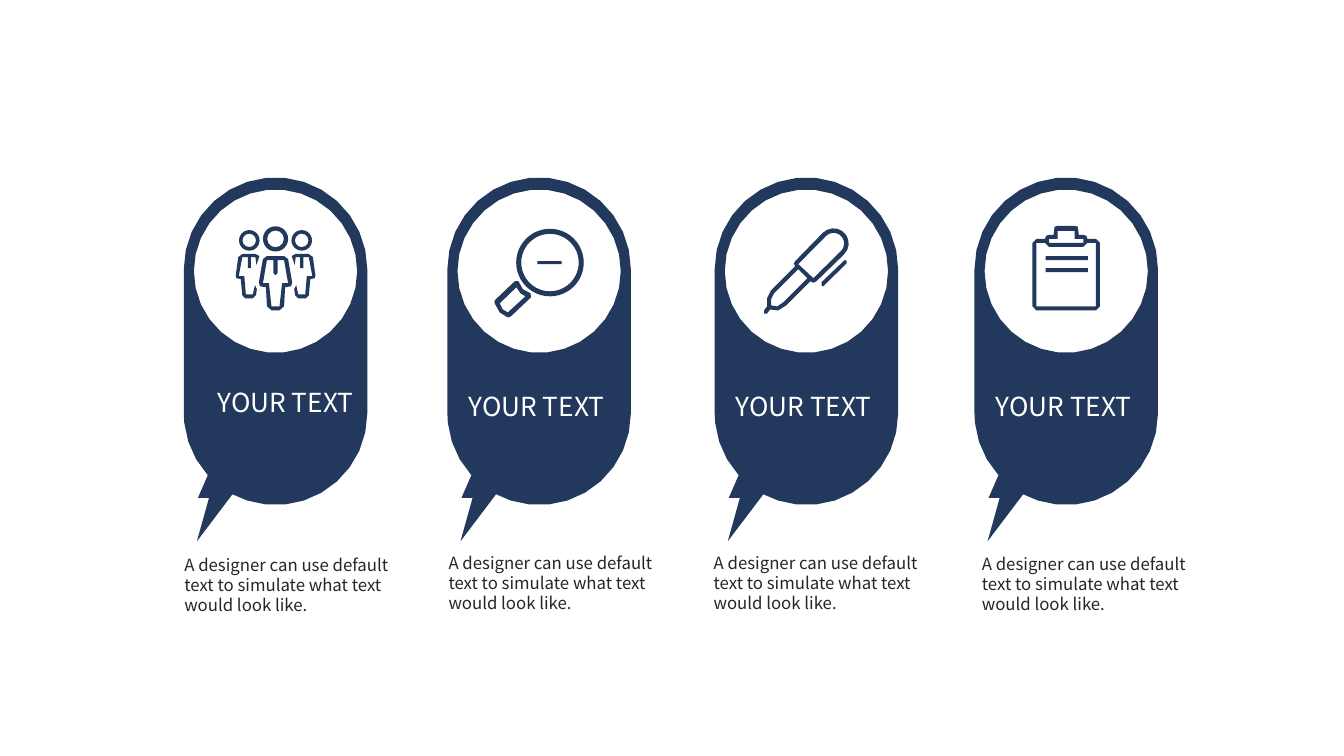
"""Build a slide of four speech badges with icons, titles and captions."""
from math import cos, radians, sin
from pptx import Presentation
from pptx import util as u
from pptx.dml.color import RGBColor
from pptx.enum import shapes, text

HUES = {"navy": "22385C", "ink": "262626", "white": "FFFFFF"}
FONT = "Noto Sans CJK SC"
CELL = u.Inches(0.01)
MID = 269


def arc(x, y, r, start=0, stop=360, step=12):
    turns = [*range(start, stop, step), stop]
    return [(x + r * cos(radians(a)), y + r * sin(radians(a))) for a in turns]


def twin(half):
    return half + [(-x, y) for x, y in reversed(half)]


deck = Presentation()
deck.slide_width, deck.slide_height = 1333 * CELL, 750 * CELL
slide = deck.slides.add_slide(deck.slide_layouts[6])
items = slide.shapes

hubs = [273.3, 534.7, 799.8, 1057.5]

badge = [
    arc(0, 141, 91, 0, 118)
    + [(-78, 268), (-66, 225), (-77, 225), (-67, 202)]
    + arc(0, 141, 91, 138, 180)
    + arc(0, -2, 91, 180, 360),
    arc(0, 0, 81, 360, 0, -12),
]

body = [
    twin([(8.5, -15), (12.5, -12), (16.5, 11), (15.5, 15), (9.5, 16),
          (8.5, 35), (3.7, 39)]),
    twin([(0, 4), (2, 2), (2, -11), (8.5, -11), (12.5, 12), (6.5, 12), (4, 35)]),
]
suit = [
    (37, -14), (33, -17), (20, -17), (16, -15), (19, -6), (20, -14),
    (24.5, -14), (24.5, -3), (27.5, -3), (27.5, -14), (33, -14), (36.5, 5),
    (31, 5), (29.5, 23), (22.5, 23), (20.5, 14), (18.5, 18), (19.5, 24),
    (22.5, 27), (30, 27), (33, 24), (34.5, 8), (39, 7), (39.5, 4),
]
team = [body, [suit], [[(-x, y) for x, y in suit]]]

lens = [
    [[(-31, 46), (-39, 41), (-44, 32), (-44, 29), (-24, 10), (-20.5, 10),
      (-16, 18), (-8.5, 22), (-8, 26), (-28, 45)],
     [(-39, 32), (-36, 38), (-31, 41), (-13.5, 25), (-18.5, 22), (-22.5, 16)]],
]

pen = [
    [arc(27, -27.5, 15, -135, 45, 20)
     + [(10, 10), (7, 11.5), (4, 10), (-20, 34), (-28, 39), (-36, 38),
        (-39, 42), (-42, 42), (-42, 39), (-39, 35), (-39, 27), (-35, 19),
        (-11, -5), (-12.5, -7.5), (-11, -10)],
     arc(27, -27.5, 10.5, -135, 45, 20) + [(7, 7), (-8, -7)],
     [(-23, 31), (-29, 35), (-35, 34), (-35, 28), (-32, 22), (-8, -2), (1, 7)]],
    [[(40, -10), (38.5, -11), (37, -10), (15, 11), (15, 15), (17, 15), (40, -8)]],
]

board = [[
    twin([(8.5, -45), (11.5, -44), (12.5, -36), (17, -36), (20, -35),
          (21, -32), (29.5, -32), (33.5, -28), (33.5, 35), (29.5, 39)]),
    twin([(8.5, -40), (8.5, -32), (17, -32), (17, -28)]),
    twin([(17, -24), (21, -28), (29.5, -28), (29.5, 35)]),
]]

forms = []
for hub, icon in zip(hubs, [team, lens, pen, board]):
    for part in [badge, *icon]:
        loops = [[(round((hub + x) * CELL), round((MID + y) * CELL)) for x, y in ring]
                 for ring in part]
        pad = items.build_freeform(*loops[0][0], scale=1.0)
        pad.add_line_segments(loops[0][1:])
        for ring in loops[1:]:
            pad.move_to(*ring[0])
            pad.add_line_segments(ring[1:])
        forms.append(pad.convert_to_shape())

rings = [(273.3, 237, 12.5, 4.2), (247.3, 238.5, 10.2, 3.5),
         (299.3, 238.5, 10.2, 3.5), (545.5, 260.5, 33.5, 5)]
for x, y, r, band in rings:
    ring = items.add_shape(shapes.MSO_SHAPE.DONUT, round((x - r) * CELL),
                           round((y - r) * CELL), round(2 * r * CELL), round(2 * r * CELL))
    ring.adjustments[0] = band / (2 * r)
    forms.append(ring)

bars = [(533, 259, 24, 3), (1037, 254, 42, 4), (1037, 266, 42, 4)]
for x, y, wide, high in bars:
    forms.append(items.add_shape(shapes.MSO_SHAPE.RECTANGLE, x * CELL, y * CELL,
                                 wide * CELL, high * CELL))

for form in forms:
    form.shadow.inherit = False
    form.fill.solid()
    form.fill.fore_color.rgb = RGBColor.from_string(HUES["navy"])
    form.line.fill.background()

LEFT, CENTRE = text.PP_ALIGN.LEFT, text.PP_ALIGN.CENTER
note = "A designer can use default text to simulate what text would look like."
labels = [(206, 378, 163, 42, "YOUR TEXT", 18.7, "white", LEFT)]
labels += [(x, 382, 254, 42, "YOUR TEXT ", 18.7, "white", CENTRE)
           for x in (408, 673, 931)]
labels += [(x, y, 229, 71, note, 12, "ink", LEFT)
           for x, y in ((173, 545), (435, 543), (698, 543), (964, 544))]

for x, y, wide, high, words, size, hue, align in labels:
    box = items.add_textbox(x * CELL, y * CELL, wide * CELL, high * CELL)
    frame = box.text_frame
    frame.word_wrap = True
    frame.auto_size = text.MSO_AUTO_SIZE.SHAPE_TO_FIT_TEXT
    para = frame.paragraphs[0]
    para.alignment = align
    run = para.add_run()
    run.text = words
    run.font.name = FONT
    run.font.size = u.Pt(size)
    run.font.color.rgb = RGBColor.from_string(HUES[hue])

deck.save("out.pptx")
